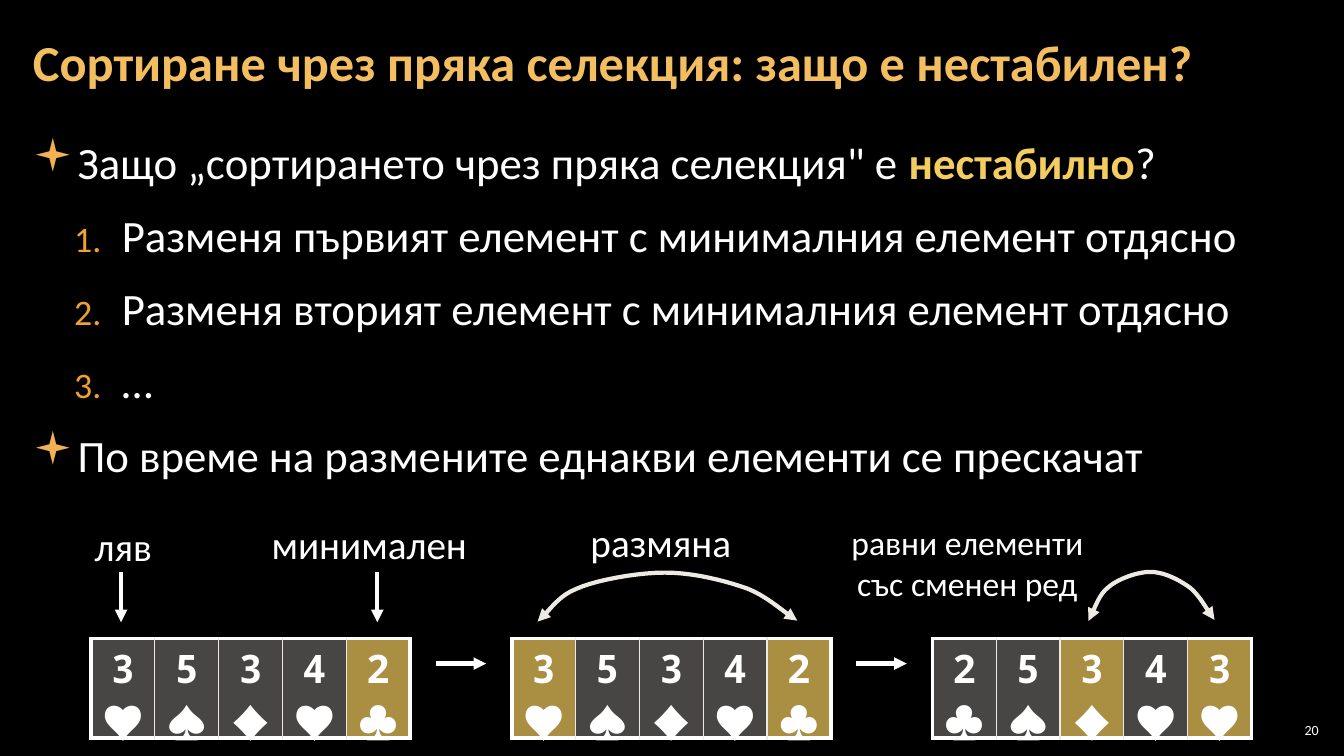
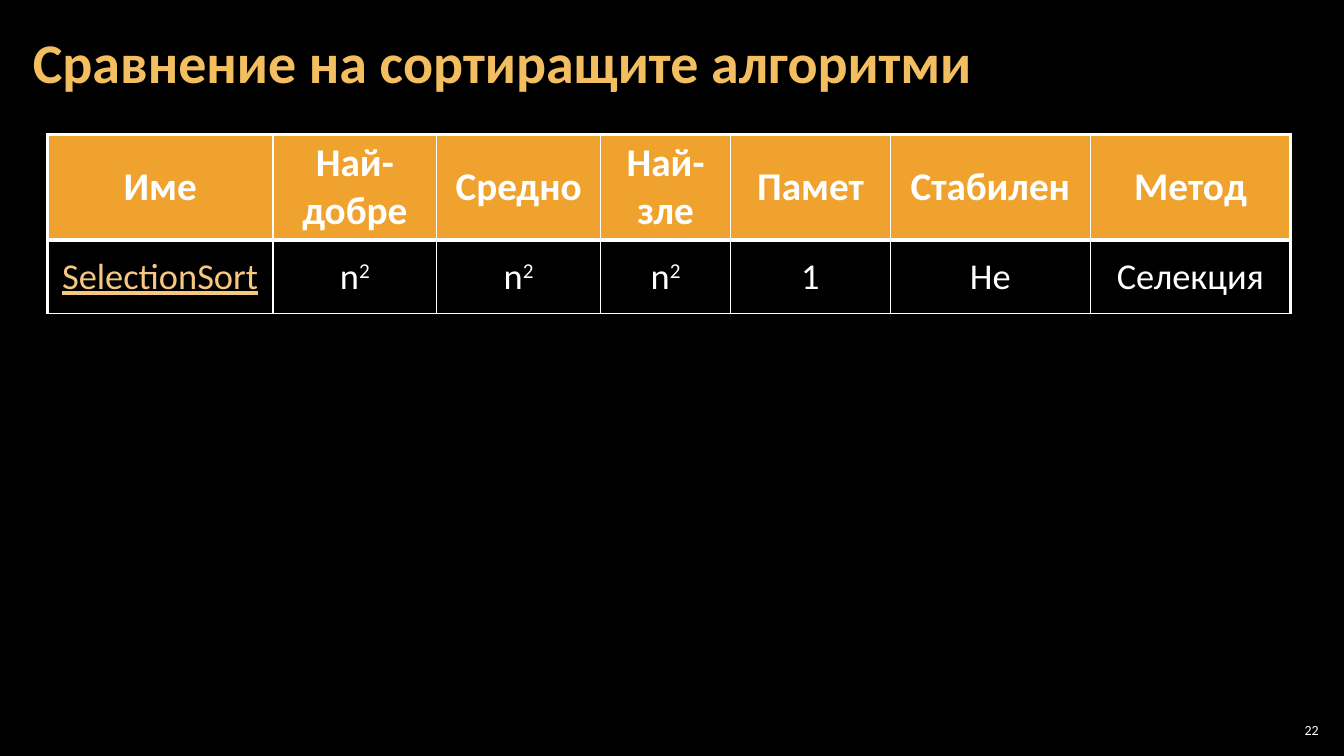
"""Two slides on selection sort: why it is unstable, and how it compares."""
from dataclasses import dataclass

from lxml.etree import SubElement
from pptx import Presentation
from pptx.dml.color import RGBColor as RGB
from pptx.enum.shapes import MSO_CONNECTOR as CONNECTOR
from pptx.enum.text import MSO_ANCHOR as ANCHOR, PP_ALIGN as ALIGN
from pptx.oxml.ns import qn
from pptx.util import Pt


@dataclass(frozen=True)
class Theme:
    black: str = "000000"
    white: str = "FFFFFF"
    cream: str = "ECEAE3"
    title: str = "F3BE60"
    accent: str = "F3CD60"
    bullet: str = "F2B254"
    orange: str = "F0A22E"
    link: str = "F6C781"
    font: str = "Calibri"
    card_font: str = "Noto Sans Mono"
    body_size: int = 32
    label_size: int = 28
    cell_size: int = 26
    note_size: int = 24
    number_size: int = 10
    heavy: int = 3
    thin: int = 1


THEME = Theme()
SLIDE_SIZE = (960, 540)

UNSTABLE = {
    "title": "Сортиране чрез пряка селекция: защо е нестабилен?",
    "title_size": 36,
    "number": "20",
}
REASONS = [
    (0, [("Защо „сортирането чрез пряка селекция\" е ", False), ("нестабилно", True), ("?", False)]),
    (1, [("Разменя първият елемент с минималния елемент отдясно", False)]),
    (1, [("Разменя вторият елемент с минималния елемент отдясно", False)]),
    (1, [("…", False)]),
    (0, [("По време на размените еднакви елементи се прескачат", False)]),
]
HANDS = [
    (["3♥", "5♠", "3♦", "4♥", "2♣"], {4}),
    (["3♥", "5♠", "3♦", "4♥", "2♣"], {0, 4}),
    (["2♣", "5♠", "3♦", "4♥", "3♥"], {2, 4}),
]
LABELS = [
    ("ляв", (60, 369.5, 56, 41), THEME.label_size, False),
    ("минимален", (186, 368, 155.5, 41), THEME.label_size, False),
    ("размяна", (414, 366.5, 116, 41), THEME.label_size, False),
    ("равни елементи със сменен ред", (590, 369.5, 202, 65), THEME.note_size, True),
]
POINTERS = [86.5, 269.5]
POINTER_TOP, POINTER_BOTTOM = 408.5, 444.5
SWAPS = [(384, 409, 185.5, 35), (777.5, 408.5, 90, 35)]
ARC_START = (0, 1)
ARC_CURVES = [
    [(0.03, 0.9), (0.07, 0.49), (0.15, 0.33)],
    [(0.22, 0.16), (0.38, 0), (0.49, 0)],
    [(0.6, 0), (0.72, 0.16), (0.81, 0.33)],
    [(0.89, 0.5), (0.96, 0.86), (1, 0.98)],
]
ARC_STEPS = 10

COMPARISON = {
    "title": "Сравнение на сортиращите алгоритми",
    "title_size": 40,
    "number": "22",
}
ALGORITHMS = [
    ["Име", "Най-добре", "Средно", "Най-зле", "Памет", "Стабилен", "Метод"],
    ["SelectionSort", "n^2", "n^2", "n^2", "1", "Не", "Селекция"],
]
ALGORITHM_COLUMNS = [161, 117, 117, 93, 114, 143, 143]

CARD_WIDTH, CARD_HEIGHT = 45.6, 30
HAND_LEFT, HAND_TOP, HAND_PITCH = 65, 456, 300.5
STEP_LENGTH, STEP_Y = 36, 474


def style(font, size, color=THEME.white, bold=False, name=THEME.font):
    font.size, font.bold, font.name = Pt(size), bold, name
    font.color.rgb = RGB.from_string(color)


def add_box(slide, place, insets=(7.2, 3.6), wrap=True, anchor=ANCHOR.TOP):
    frame = slide.shapes.add_textbox(*map(Pt, place)).text_frame
    frame.word_wrap, frame.vertical_anchor = wrap, anchor
    frame.margin_left = frame.margin_right = Pt(insets[0])
    frame.margin_top = frame.margin_bottom = Pt(insets[1])
    return frame


def add_line_text(slide, text, place, size, align, color=THEME.white, bold=False, **box):
    frame = add_box(slide, place, **box)
    frame.text = text
    paragraph = frame.paragraphs[0]
    paragraph.alignment = align
    style(paragraph.runs[0].font, size, color, bold)
    return paragraph


def start_slide(deck, content):
    slide = deck.slides.add_slide(deck.slide_layouts[6])
    slide.background.fill.solid()
    slide.background.fill.fore_color.rgb = RGB.from_string(THEME.black)
    title = add_line_text(slide, content["title"], (15, 3, 930, 87), content["title_size"],
                          ALIGN.LEFT, THEME.title, True, insets=(8.5, 3), anchor=ANCHOR.MIDDLE)
    title.line_spacing = 0.9
    add_line_text(slide, content["number"], (911, 514, 34, 15), THEME.number_size,
                  ALIGN.RIGHT, insets=(3, 3), anchor=ANCHOR.MIDDLE)
    return slide


def add_bullet(paragraph, level):
    margin, hanging = ((29, 29), (63.5, 34))[level]
    props = paragraph._p.get_or_add_pPr()
    props.set("marL", str(Pt(margin)))
    props.set("indent", str(-Pt(hanging)))
    color = SubElement(props, qn("a:buClr"))
    SubElement(color, qn("a:srgbClr"), val=(THEME.bullet, THEME.orange)[level])
    if level:
        SubElement(props, qn("a:buSzPct"), val="80000")
        SubElement(props, qn("a:buFont"), typeface=THEME.font)
        SubElement(props, qn("a:buAutoNum"), type="arabicPeriod")
    else:
        SubElement(props, qn("a:buFont"), typeface="Wingdings")
        SubElement(props, qn("a:buChar"), char="▪")


def add_reasons(slide):
    frame = add_box(slide, (15, 91, 930, 438), insets=(8.5, 3))
    for index, (level, parts) in enumerate(REASONS):
        paragraph = frame.add_paragraph() if index else frame.paragraphs[0]
        paragraph.level = level
        add_bullet(paragraph, level)
        paragraph.line_spacing = 1.05
        paragraph.space_before, paragraph.space_after = Pt(6 if index else 0), Pt(6)
        for text, strong in parts:
            run = paragraph.add_run()
            run.text = text
            style(run.font, THEME.body_size, THEME.accent if strong else THEME.white, strong)


def finish_line(shape, color, ends):
    shape.line.width = Pt(THEME.heavy)
    shape.line.color.rgb = RGB.from_string(color)
    for end in ends:
        SubElement(shape.line._get_or_add_ln(), qn(f"a:{end}"), type="triangle")


def add_arrow(slide, *ends):
    arrow = slide.shapes.add_connector(CONNECTOR.STRAIGHT, *map(Pt, ends))
    finish_line(arrow, THEME.white, ["tailEnd"])
    SubElement(arrow._element.spPr, qn("a:effectLst"))


def arc_points():
    start = ARC_START
    for curve in ARC_CURVES:
        corners = [start, *curve]
        for step in range(1, ARC_STEPS + 1):
            t = step / ARC_STEPS
            weights = ((1 - t) ** 3, 3 * t * (1 - t) ** 2, 3 * t * t * (1 - t), t ** 3)
            yield tuple(sum(w * corner[axis] for w, corner in zip(weights, corners))
                        for axis in (0, 1))
        start = curve[-1]


def add_swap(slide, left, top, width, height):
    def place(point):
        return Pt(left + point[0] * width), Pt(top + point[1] * height)

    builder = slide.shapes.build_freeform(*place(ARC_START))
    builder.add_line_segments([place(point) for point in arc_points()], close=False)
    arc = builder.convert_to_shape()
    arc.shadow.inherit = False
    arc.fill.background()
    finish_line(arc, THEME.cream, ["headEnd", "tailEnd"])


def add_grid(slide, left, top, columns, heights):
    place = (left, top, sum(columns), sum(heights))
    table = slide.shapes.add_table(len(heights), len(columns), *map(Pt, place)).table
    table.first_row = table.horz_banding = False
    for column, width in zip(table.columns, columns):
        column.width = Pt(width)
    for row, height in zip(table.rows, heights):
        row.height = Pt(height)
    return table


def dress_cell(table, row, column, fill, alpha, inner):
    cell = table.cell(row, column)
    props = cell._tc.get_or_add_tcPr()
    heavy_sides = {"L": column == 0, "R": column == len(table.columns) - 1,
                   "T": True, "B": row == 0}
    for side, heavy in heavy_sides.items():
        width = THEME.heavy if heavy else THEME.thin
        line = SubElement(props, qn(f"a:ln{side}"), w=str(Pt(width)))
        paint = SubElement(line, qn("a:solidFill"))
        SubElement(paint, qn("a:srgbClr"), val=THEME.white if heavy else inner)
    cell.fill.solid()
    cell.fill.fore_color.rgb = RGB.from_string(fill)
    if alpha < 100:
        SubElement(props.find(f"{qn('a:solidFill')}/{qn('a:srgbClr')}"),
                   qn("a:alpha"), val=str(alpha * 1000))
    paragraph = cell.text_frame.paragraphs[0]
    paragraph.alignment = ALIGN.CENTER
    return cell, paragraph


def add_hand(slide, left, cards, marked):
    table = add_grid(slide, left, HAND_TOP, [CARD_WIDTH] * len(cards), [CARD_HEIGHT])
    for column, card in enumerate(cards):
        fill, alpha = (THEME.accent, 70) if column in marked else (THEME.cream, 30)
        _, paragraph = dress_cell(table, 0, column, fill, alpha, THEME.cream)
        paragraph.line_spacing = 0.95
        run = paragraph.add_run()
        run.text = card
        style(run.font, THEME.label_size, bold=True, name=THEME.card_font)


def build_unstable(deck):
    slide = start_slide(deck, UNSTABLE)
    add_reasons(slide)
    hand_width = CARD_WIDTH * len(HANDS[0][0])
    for index, (cards, marked) in enumerate(HANDS):
        left = HAND_LEFT + index * HAND_PITCH
        add_hand(slide, left, cards, marked)
        if index:
            step_left = left - (HAND_PITCH - hand_width + STEP_LENGTH) / 2
            add_arrow(slide, step_left, STEP_Y, step_left + STEP_LENGTH, STEP_Y)
    for text, place, size, wrap in LABELS:
        add_line_text(slide, text, place, size, ALIGN.CENTER, wrap=wrap)
    for x in POINTERS:
        add_arrow(slide, x, POINTER_TOP, x, POINTER_BOTTOM)
    for swap in SWAPS:
        add_swap(slide, *swap)


def build_comparison(deck):
    slide = start_slide(deck, COMPARISON)
    table = add_grid(slide, 34, 96, ALGORITHM_COLUMNS, [75.6, 52.5])
    for row, entries in enumerate(ALGORITHMS):
        header = row == 0
        fill, alpha = (THEME.orange, 100) if header else (THEME.black, 30)
        size = THEME.label_size if header else THEME.cell_size
        for column, entry in enumerate(entries):
            cell, paragraph = dress_cell(table, row, column, fill, alpha, THEME.white)
            cell.vertical_anchor = ANCHOR.MIDDLE
            linked = not header and column == 0
            for power, text in enumerate(entry.split("^")):
                run = paragraph.add_run()
                run.text = text
                style(run.font, size, THEME.link if linked else THEME.white, header)
                run.font.underline = linked
                if power:
                    run._r.get_or_add_rPr().set("baseline", "30000")


def main():
    deck = Presentation()
    deck.slide_width, deck.slide_height = map(Pt, SLIDE_SIZE)
    build_unstable(deck)
    build_comparison(deck)
    deck.save("out.pptx")


if __name__ == "__main__":
    main()
